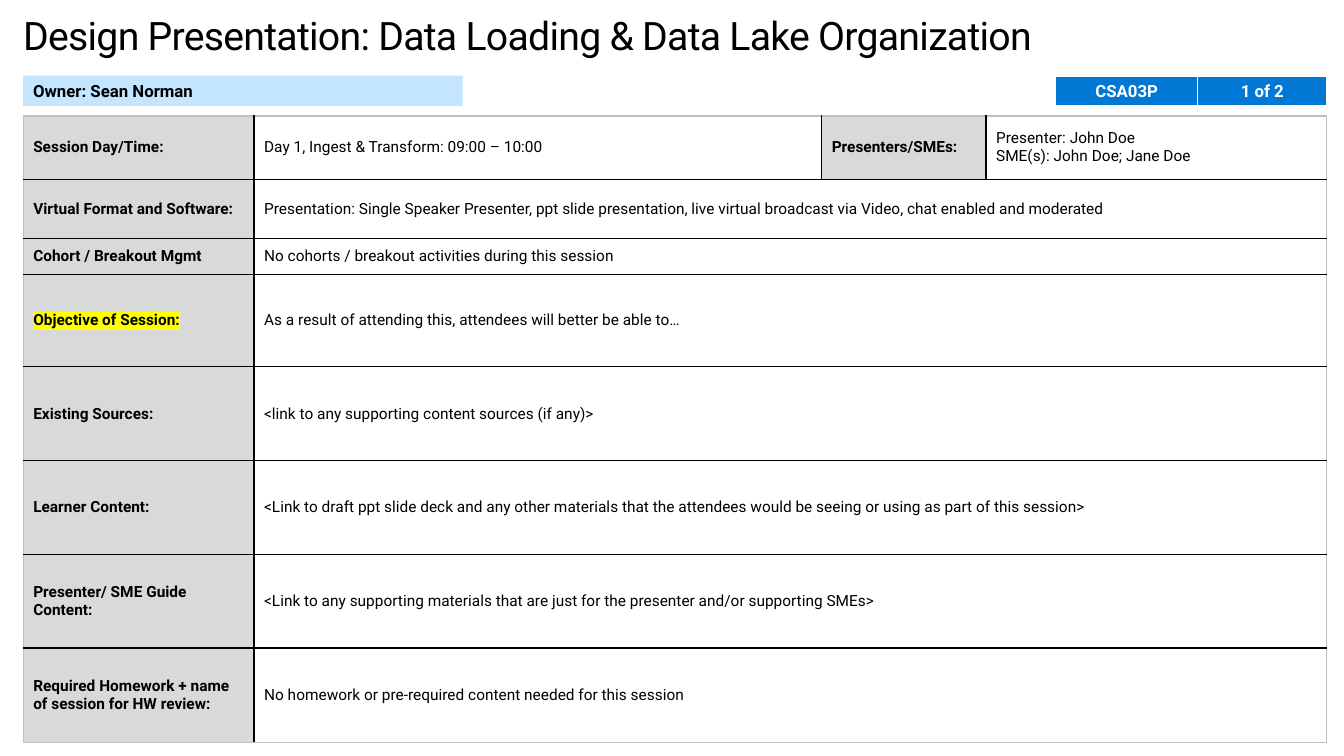
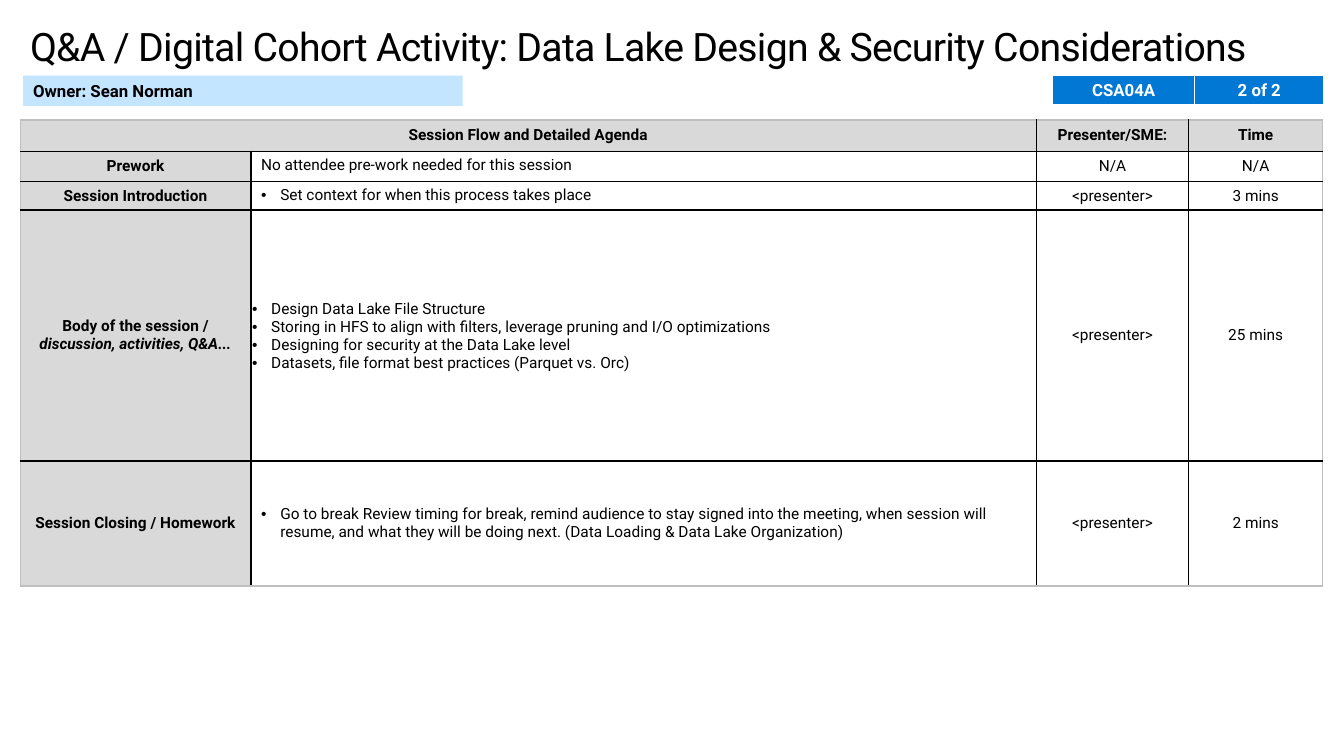
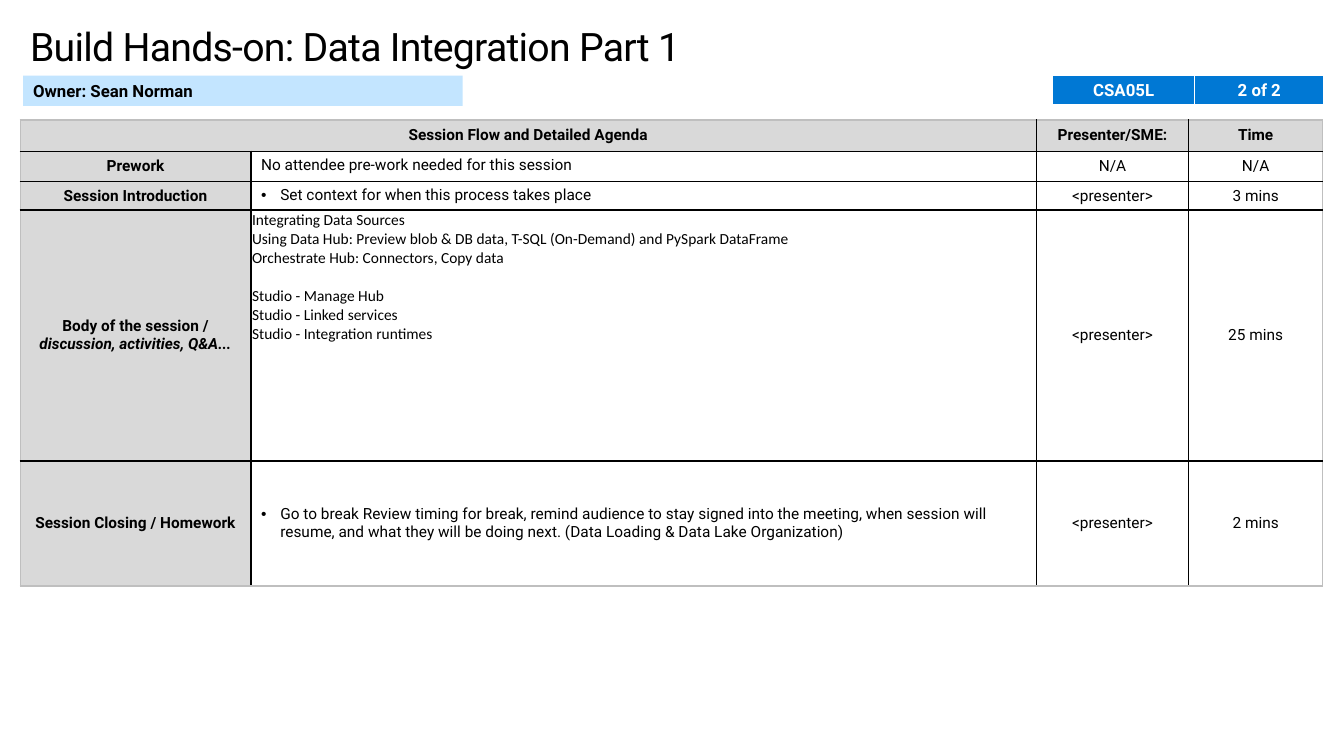
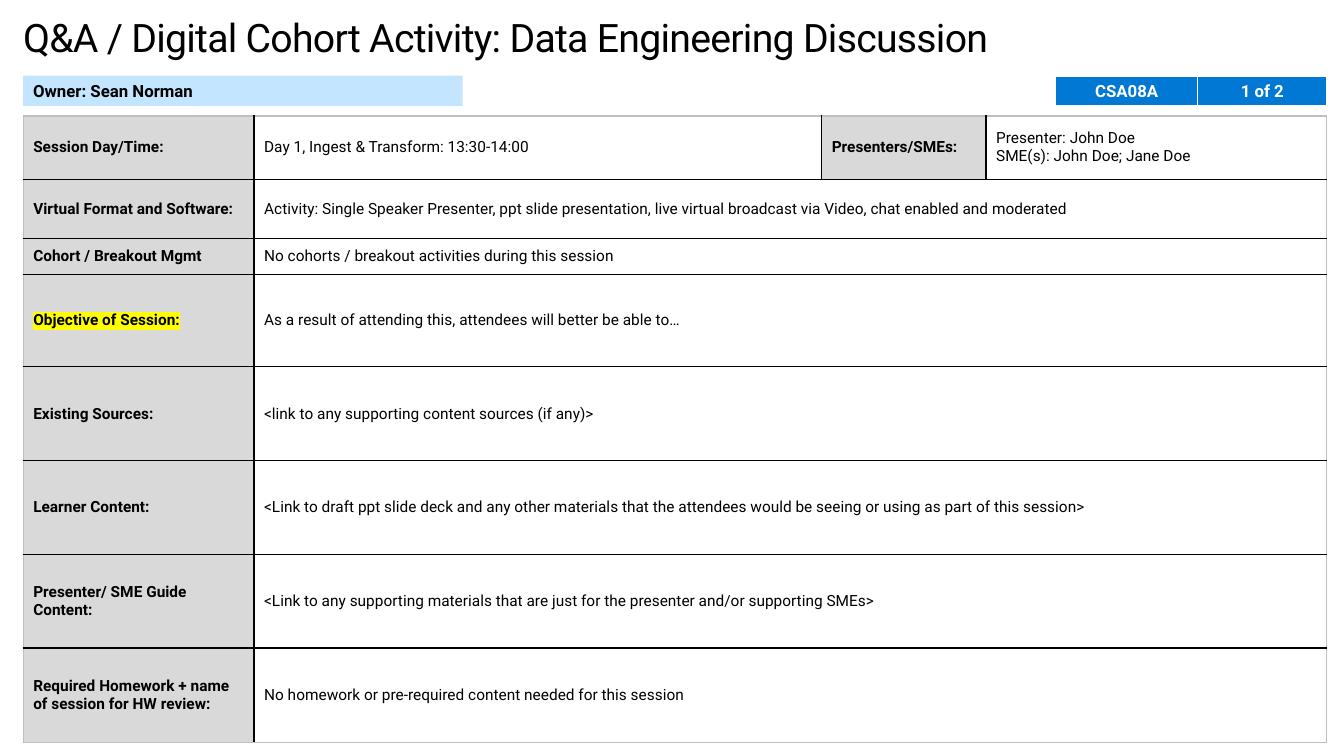
from dataclasses import dataclass

import pptx
import pptx.dml.color
import pptx.enum.shapes
import pptx.enum.text
import pptx.oxml.ns
import pptx.util
from lxml import etree

Inches = pptx.util.Inches
Pt = pptx.util.Pt
Align = pptx.enum.text.PP_ALIGN
Anchor = pptx.enum.text.MSO_ANCHOR
qn = pptx.oxml.ns.qn


@dataclass(frozen=True)
class Theme:
    font: str = "Roboto"
    plain_font: str = "Calibri"
    ink: str = "000000"
    paper: str = "FFFFFF"
    label: str = "D9D9D9"
    frame: str = "BFBFBF"
    owner: str = "C3E5FF"
    badge: str = "0078D4"
    marker: str = "FFFF00"
    title_size: float = 28
    band_size: float = 12
    cell_size: float = 11
    line_gap: float = 13.4
    bullet_indent: float = 0.19


@dataclass(frozen=True)
class Cell:
    paragraphs: tuple
    bold: bool = False
    centred: bool = False
    fill: str = ""
    anchor: object = Anchor.MIDDLE
    bullets: bool = False
    tight: bool = False
    font: str = Theme.font
    size: float = Theme.cell_size
    color: str = Theme.ink
    highlight: str = ""
    gap_before: tuple = ()
    columns: int = 1


def rgb(value):
    return pptx.dml.color.RGBColor.from_string(value)


def label(*paragraphs, **options):
    return Cell(paragraphs, bold=True, fill=Theme.label, **options)


def centred_label(*paragraphs, **options):
    return label(*paragraphs, centred=True, **options)


def value(*paragraphs, **options):
    return Cell(paragraphs, **options)


def badge(text):
    return Cell((text,), bold=True, centred=True, fill=Theme.badge,
                anchor=Anchor.TOP, size=Theme.band_size, color=Theme.paper)


class SlideBuilder:
    def __init__(self):
        self.theme = Theme()
        self.deck = pptx.Presentation()
        self.deck.slide_width = Inches(13.33)
        self.deck.slide_height = Inches(7.5)
        self.slide = None

    def new_slide(self):
        self.slide = self.deck.slides.add_slide(self.deck.slide_layouts[6])

    def span(self, para, text, size, bold=False, italic=False,
             font=Theme.font, color=Theme.ink):
        span = para.add_run()
        span.text = text
        span.font.size = Pt(size)
        span.font.bold = bold
        span.font.italic = italic
        span.font.color.rgb = rgb(color)
        span.font.name = font
        return span

    def title(self, text, left, top, inset=0):
        box = self.slide.shapes.add_textbox(
            Inches(left), Inches(top), Inches(12.9), Inches(0.47 + 2 * inset))
        frame = box.text_frame
        frame.word_wrap = True
        frame.margin_left = frame.margin_right = Inches(2 * inset)
        frame.margin_top = frame.margin_bottom = Inches(inset)
        span = self.span(frame.paragraphs[0], text, self.theme.title_size)
        span.font._element.set("spc", "-50")

    def owner_band(self, text):
        box = self.slide.shapes.add_shape(
            pptx.enum.shapes.MSO_SHAPE.RECTANGLE,
            Inches(0.23), Inches(0.75), Inches(4.36), Inches(0.3))
        box.shadow.inherit = False
        box.fill.solid()
        box.fill.fore_color.rgb = rgb(self.theme.owner)
        box.line.fill.background()
        box.text_frame.vertical_anchor = Anchor.MIDDLE
        para = box.text_frame.paragraphs[0]
        para.alignment = Align.LEFT
        self.span(para, text, self.theme.band_size, bold=True)

    def badges(self, left, top, code, page):
        edge = (self.theme.paper, 1)
        self.table(left, top, (1.41, 1.28), (0.3,),
                   [[badge(code), badge(page)]],
                   inner=edge, outer=edge, bottom=(self.theme.paper, 3))

    def table(self, left, top, widths, heights, rows, inner, outer, bottom):
        table = self.slide.shapes.add_table(
            len(heights), len(widths), Inches(left), Inches(top),
            Inches(sum(widths)), Inches(sum(heights))).table
        table.first_row = False
        table.horz_banding = False
        for column, width in zip(table.columns, widths):
            column.width = Inches(width)
        for row, height in zip(table.rows, heights):
            row.height = Inches(height)
        last_row, last_column = len(heights) - 1, len(widths) - 1
        for r, row in enumerate(rows):
            c = 0
            for content in row:
                end = c + content.columns - 1
                if end > c:
                    table.cell(r, c).merge(table.cell(r, end))
                for place in range(c, end + 1):
                    cell = table.cell(r, place)
                    edges = {"T": inner if r else outer,
                             "B": inner if r < last_row else bottom}
                    if place == c:
                        edges["L"] = inner if c else outer
                        edges["R"] = inner if end < last_column else outer
                    elif place == last_column:
                        edges["R"] = outer
                    self.borders(cell, edges)
                    self.paint(cell, content.fill)
                self.fill_text(table.cell(r, c), content)
                c = end + 1

    def borders(self, cell, edges):
        properties = cell._tc.get_or_add_tcPr()
        for side in "LRTB":
            if side in edges:
                color, width = edges[side]
                line = etree.SubElement(properties, qn("a:ln" + side),
                                        w=str(Pt(width)))
                fill = etree.SubElement(line, qn("a:solidFill"))
                etree.SubElement(fill, qn("a:srgbClr"), val=color)

    def paint(self, cell, color):
        if color:
            cell.fill.solid()
            cell.fill.fore_color.rgb = rgb(color)
        else:
            cell.fill.background()

    def fill_text(self, cell, content):
        cell.vertical_anchor = content.anchor
        if content.tight:
            cell.margin_left = cell.margin_right = Inches(0.01)
            cell.margin_top, cell.margin_bottom = Inches(0.01), 0
        frame = cell.text_frame
        for index, lines in enumerate(content.paragraphs):
            para = frame.add_paragraph() if index else frame.paragraphs[0]
            para.alignment = Align.CENTER if content.centred else Align.LEFT
            if index in content.gap_before:
                para.space_before = Pt(self.theme.line_gap)
            if content.bullets:
                self.bullet(para)
            if isinstance(lines, str):
                lines = ((lines, False),)
            for number, (text, italic) in enumerate(lines):
                if number:
                    para.add_line_break()
                span = self.span(para, text, content.size, content.bold,
                                 italic, content.font, content.color)
                if content.highlight:
                    self.highlight(span, content.highlight)

    def bullet(self, para):
        properties = para._p.get_or_add_pPr()
        indent = Inches(self.theme.bullet_indent)
        properties.set("marL", str(indent))
        properties.set("indent", str(-indent))
        etree.SubElement(properties, qn("a:buFont"), typeface="Arial")
        etree.SubElement(properties, qn("a:buChar"), char="•")

    def highlight(self, span, color):
        mark = etree.Element(qn("a:highlight"))
        etree.SubElement(mark, qn("a:srgbClr"), val=color)
        span.font._element.find(qn("a:solidFill")).addnext(mark)

    def grid(self, left, top, widths, heights, rows):
        frame = (self.theme.frame, 1)
        self.table(left, top, widths, heights, rows,
                   inner=(self.theme.ink, 1), outer=frame, bottom=frame)

    def overview(self, title, title_top, code, time, software):
        self.new_slide()
        self.title(title, 0.23, title_top)
        details = (
            ("Virtual Format and Software:", software),
            ("Cohort / Breakout Mgmt", "No cohorts / breakout activities during this session"),
            ("Objective of Session:", "As a result of attending this, attendees will better be able to…"),
            ("Existing Sources:", "<link to any supporting content sources (if any)>"),
            ("Learner Content:", "<Link to draft ppt slide deck and any other materials that the attendees would be seeing or using as part of this session>"),
            ("Presenter/ SME Guide Content:", "<Link to any supporting materials that are just for the presenter and/or supporting SMEs>"),
            ("Required Homework + name of session for HW review:", "No homework or pre-required content needed for this session"),
        )
        rows = [[label("Session Day/Time:"), value(time), label("Presenters/SMEs:"),
                 value("Presenter: John Doe", "SME(s): John Doe; Jane Doe")]]
        for name, text in details:
            marker = self.theme.marker if name.startswith("Objective") else ""
            rows.append([label(name, highlight=marker), value(text, columns=3)])
        self.grid(0.23, 1.15, (2.29, 5.63, 1.63, 3.38),
                  (0.63, 0.59, 0.35, 0.92, 0.93, 0.93, 0.93, 0.94), rows)
        self.owner_band("Owner: Sean Norman")
        self.badges(10.47, 0.76, code, "1 of 2")

    def agenda(self, title, code, body):
        self.new_slide()
        steps = (
            (("Prework",),
             value("No attendee pre-work needed for this session", anchor=Anchor.TOP),
             "N/A", "N/A"),
            (("Session Introduction",),
             value("Set context for when this process takes place",
                   anchor=Anchor.TOP, bullets=True),
             "<presenter>", "3 mins"),
            (((("Body of the session /", False), ("discussion, activities, Q&A...", True)),),
             body, "<presenter>", "25 mins"),
            (("Session Closing / Homework",),
             value("Go to break Review timing for break, remind audience to stay signed into the meeting, when session will resume, and what they will be doing next. (Data Loading & Data Lake Organization)",
                   bullets=True),
             "<presenter>", "2 mins"),
        )
        rows = [[centred_label("Session Flow and Detailed Agenda", columns=2),
                 centred_label("Presenter/SME:"), centred_label("Time")]]
        for name, content, presenter, time in steps:
            rows.append([centred_label(*name), content,
                         value(presenter, centred=True), value(time, centred=True)])
        self.grid(0.2, 1.19, (2.29, 7.79, 1.51, 1.33),
                  (0.31, 0.3, 0.28, 2.49, 1.24), rows)
        self.owner_band("Owner: Sean Norman")
        self.badges(10.44, 0.75, code, "2 of 2")
        self.title(title, 0.2, 0.17, inset=0.05)


def main():
    builder = SlideBuilder()
    builder.overview(
        "Design Presentation: Data Loading & Data Lake Organization", 0.11, "CSA03P",
        "Day 1, Ingest & Transform: 09:00 – 10:00",
        "Presentation: Single Speaker Presenter, ppt slide presentation, live virtual broadcast via Video, chat enabled and moderated")
    builder.agenda(
        "Q&A / Digital Cohort Activity: Data Lake Design & Security Considerations", "CSA04A",
        value("Design Data Lake File Structure",
              "Storing in HFS to align with filters, leverage pruning and I/O optimizations",
              "Designing for security at the Data Lake level",
              "Datasets, file format best practices (Parquet vs. Orc)",
              bullets=True, tight=True))
    builder.agenda(
        "Build Hands-on: Data Integration Part 1", "CSA05L",
        value("Integrating Data Sources",
              "Using Data Hub: Preview blob & DB data, T-SQL (On-Demand) and PySpark DataFrame",
              "Orchestrate Hub: Connectors, Copy data",
              "Studio - Manage Hub",
              "Studio - Linked services",
              "Studio - Integration runtimes",
              anchor=Anchor.TOP, tight=True, font=Theme.plain_font, gap_before=(3,)))
    builder.overview(
        "Q&A / Digital Cohort Activity: Data Engineering Discussion", 0.13, "CSA08A",
        "Day 1, Ingest & Transform: 13:30-14:00",
        "Activity: Single Speaker Presenter, ppt slide presentation, live virtual broadcast via Video, chat enabled and moderated")
    builder.deck.save("out.pptx")


if __name__ == "__main__":
    main()
